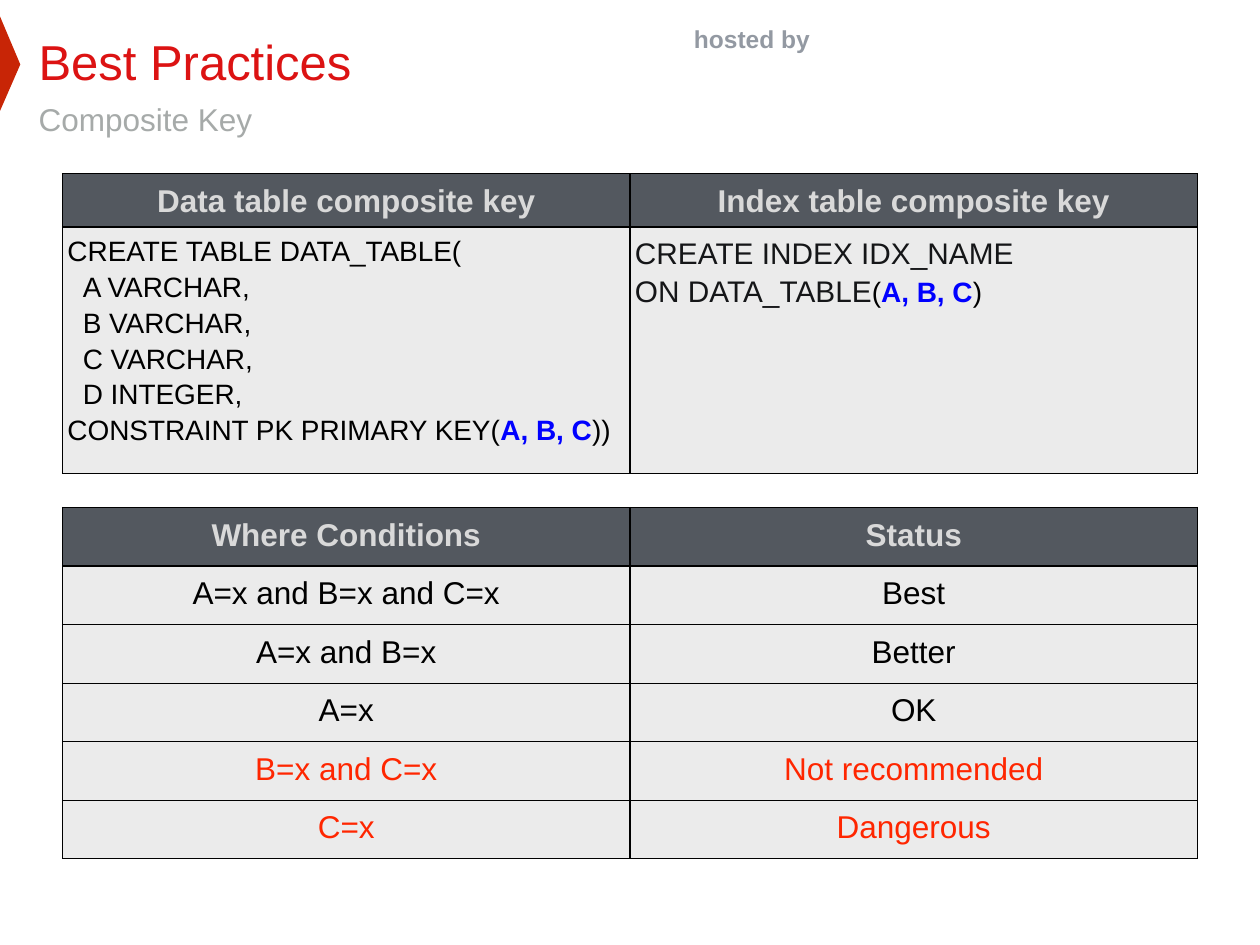
"""Build the composite key best practices slide."""
from lxml.etree import SubElement as Sub
from pptx import Presentation
from pptx.dml.color import RGBColor
from pptx.enum.text import MSO_ANCHOR as Anchor, PP_ALIGN as Align
from pptx.oxml.ns import qn
from pptx.util import Cm, Pt

RED = RGBColor(0xDC, 0x13, 0x13)
RUST = RGBColor(0xC8, 0x25, 0x06)
ALERT = RGBColor(0xFF, 0x26, 0x00)
SLATE = RGBColor(0x93, 0x99, 0xA2)
GRAY = RGBColor(0xA6, 0xAA, 0xA9)
DARK = RGBColor(0x53, 0x58, 0x5F)
PALE = RGBColor(0xEB, 0xEB, 0xEB)
LIGHT = RGBColor(0xD9, 0xD9, 0xD9)
INK = RGBColor(0x15, 0x16, 0x18)
BLUE = RGBColor(0x00, 0x00, 0xFF)
BLACK = RGBColor(0x00, 0x00, 0x00)


def write(para, text, size=18, color=BLACK, bold=False, align=Align.LEFT, space=1.15):
    para.alignment = align
    para.line_spacing = space
    run = para.add_run()
    run.text = text
    run.font.name = "Arial"
    run.font.size = Pt(size)
    run.font.bold = bold
    run.font.color.rgb = color


def add_grid(slide, top, heads, sizes):
    frame = slide.shapes.add_table(len(sizes), 2, Cm(1.26), Cm(top), Cm(22.88), Cm(sum(sizes)))
    grid = frame.table
    for row, size in zip(grid.rows, sizes):
        row.height = Cm(size)
    for cell in grid.iter_cells():
        cell.margin_left = cell.margin_right = Cm(0.1)
        cell.margin_top = cell.margin_bottom = Cm(0.1)
        props = cell._tc.get_or_add_tcPr()
        for side in ("lnL", "lnR", "lnT", "lnB"):
            line = Sub(props, qn(f"a:{side}"), w=str(Pt(0.75)))
            Sub(Sub(line, qn("a:solidFill")), qn("a:srgbClr"), val=str(BLACK))
        cell.fill.solid()
        cell.fill.fore_color.rgb = PALE
    for col, head in enumerate(heads):
        cell = grid.cell(0, col)
        cell.fill.fore_color.rgb = DARK
        write(cell.text_frame.paragraphs[0], head, color=LIGHT, bold=True, align=Align.CENTER)
    return grid


deck = Presentation()
deck.slide_width, deck.slide_height = Cm(25.4), Cm(19.05)
slide = deck.slides.add_slide(deck.slide_layouts[6])

outline = slide.shapes.build_freeform(Cm(0), Cm(0.33))
outline.add_line_segments([(Cm(0), Cm(2.24)), (Cm(0.41), Cm(1.3))])
arrow = outline.convert_to_shape()
arrow.shadow.inherit = False
arrow.fill.solid()
arrow.fill.fore_color.rgb = RUST
arrow.line.fill.background()

labels = [
    ("hosted by", (13.84, 0.33, 2.67, 0.89), Anchor.MIDDLE, dict(size=14, color=SLATE, bold=True, space=1)),
    ("Best Practices", (0.63, 0.43, 15.09, 1.55), Anchor.BOTTOM, dict(size=28, color=RED, space=1)),
    ("Composite Key", (0.63, 1.75, 15.7, 1.24), Anchor.TOP, dict(color=GRAY)),
]
for text, place, anchor, style in labels:
    frame = slide.shapes.add_textbox(*map(Cm, place)).text_frame
    frame.word_wrap = True
    frame.vertical_anchor = anchor
    frame.margin_left = frame.margin_right = Cm(0.15)
    frame.margin_top = frame.margin_bottom = Cm(0.15)
    write(frame.paragraphs[0], text, **style)

rules = [
    ("A=x and B=x and C=x", "Best", BLACK),
    ("A=x and B=x", "Better", BLACK),
    ("A=x", "OK", BLACK),
    ("B=x and C=x", "Not recommended", ALERT),
    ("C=x", "Dangerous", ALERT),
]
grid = add_grid(slide, 10.23, ("Where Conditions", "Status"), [1.18] * 6)
for row, (test, status, color) in enumerate(rules, 1):
    for col, text in enumerate((test, status)):
        para = grid.cell(row, col).text_frame.paragraphs[0]
        write(para, text, color=color, align=Align.CENTER)

code = dict(size=16)
key = dict(size=16, color=BLUE, bold=True)
index = dict(size=17, color=INK)
fields = ("A VARCHAR,", "B VARCHAR,", "C VARCHAR,", "D INTEGER,")
scripts = [
    [
        (0, [("CREATE TABLE DATA_TABLE(", code)]),
        *[(0.31, [(field, code)]) for field in fields],
        (0, [("CONSTRAINT PK PRIMARY KEY(", code), ("A, B, C", key), ("))", code)]),
    ],
    [
        (0, [("CREATE INDEX IDX_NAME", index)]),
        (0, [("ON DATA_TABLE", index), ("(", code), ("A, B, C", key), (")", code)]),
    ],
]
heads = ("Data table composite key", "Index table composite key")
grid = add_grid(slide, 3.5, heads, [1.02, 4.97])
for col, lines in enumerate(scripts):
    frame = grid.cell(1, col).text_frame
    for step, (indent, parts) in enumerate(lines):
        para = frame.add_paragraph() if step else frame.paragraphs[0]
        para._p.get_or_add_pPr().set("marL", str(Cm(indent)))
        for text, style in parts:
            write(para, text, **style)

deck.save("out.pptx")
